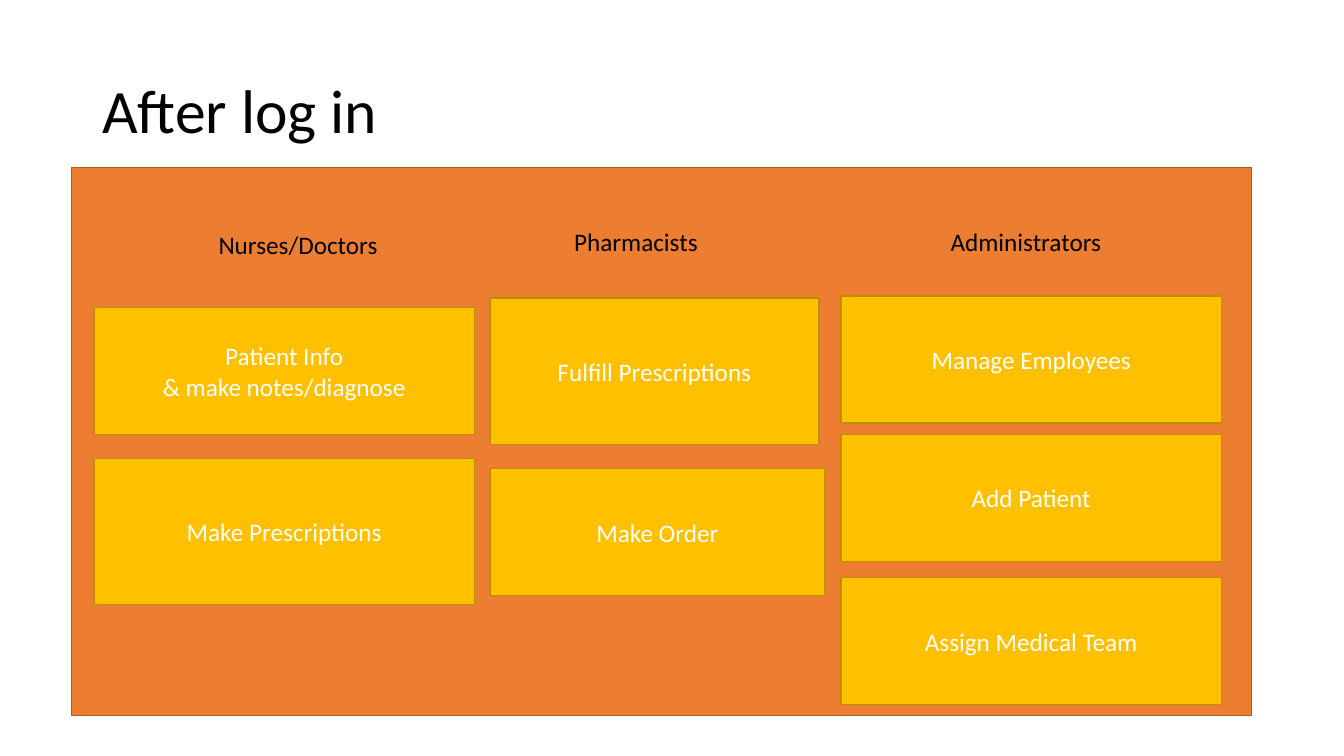
from dataclasses import dataclass

from pptx import Presentation
from pptx.dml.color import RGBColor
from pptx.enum.shapes import MSO_SHAPE as Shape
from pptx.enum.text import MSO_ANCHOR as Anchor, PP_ALIGN as Align
from pptx.util import Pt


@dataclass(frozen=True)
class Theme:
    font: str = "Calibri"
    title_size: float = 44
    body_size: float = 18
    dark: str = "000000"
    light: str = "FFFFFF"
    panel: str = "ED7D31"
    panel_edge: str = "AF5C24"
    action: str = "FFC000"
    action_edge: str = "BD8E00"


def write(shape, text, *, font, size, color, align=Align.LEFT,
          anchor=Anchor.TOP, wrap=True, spacing=None):
    """Fill a shape with text, one paragraph per line."""
    frame = shape.text_frame
    frame.word_wrap = wrap
    frame.vertical_anchor = anchor
    for index, line in enumerate(text.split("\n")):
        para = frame.add_paragraph() if index else frame.paragraphs[0]
        para.alignment = align
        if spacing:
            para.line_spacing = spacing
        span = para.add_run()
        span.text = line
        span.font.name = font
        span.font.size = Pt(size)
        span.font.color.rgb = RGBColor.from_string(color)


class Painter:
    def __init__(self, page, theme):
        self.page = page
        self.theme = theme

    def box(self, bounds, fill, edge):
        box = self.page.shapes.add_shape(Shape.RECTANGLE, *map(Pt, bounds))
        box.shadow.inherit = False
        box.fill.solid()
        box.fill.fore_color.rgb = RGBColor.from_string(fill)
        box.line.color.rgb = RGBColor.from_string(edge)
        box.line.width = Pt(1)
        return box

    def panel(self, bounds):
        self.box(bounds, self.theme.panel, self.theme.panel_edge)

    def action(self, text, bounds):
        theme = self.theme
        box = self.box(bounds, theme.action, theme.action_edge)
        write(box, text, font=theme.font, size=theme.body_size,
              color=theme.light, align=Align.CENTER, anchor=Anchor.MIDDLE)

    def text(self, text, bounds, size, **style):
        box = self.page.shapes.add_textbox(*map(Pt, bounds))
        write(box, text, font=self.theme.font, size=size,
              color=self.theme.dark, **style)


# Deck and page
deck = Presentation()
deck.slide_width, deck.slide_height = Pt(960), Pt(540)
page = deck.slides.add_slide(deck.slide_layouts[6])
theme = Theme()
painter = Painter(page, theme)

# Title and backdrop
painter.text("After log in", (66, 28.8, 828, 104.4), theme.title_size,
             anchor=Anchor.MIDDLE, spacing=0.9)
painter.panel((51, 119.7, 843, 391.5))

# Roles: name, label (left, top, width), column left,
# then actions as (text, top, width, height)
LOW, TALL, WIDE = 90.8, 104.4, 271.6
roles = [
    ("Nurses/Doctors", (149, 160, 129), 67.2, [
        ("Patient Info\n& make notes/diagnose", 219.6, WIDE, LOW),
        ("Make Prescriptions", 327.6, WIDE, TALL),
    ]),
    ("Pharmacists", (403, 157.8, 103.7), 350, [
        ("Fulfill Prescriptions", 213, 234.9, TALL),
        ("Make Order", 334.6, 239.2, LOW),
    ]),
    ("Administrators", (671.9, 157.8, 123), 600.8, [
        ("Manage Employees", 211.5, WIDE, LOW),
        ("Add Patient", 310.2, WIDE, LOW),
        ("Assign Medical Team", 412.6, WIDE, LOW),
    ]),
]
for name, label, left, actions in roles:
    painter.text(name, (*label, 29), theme.body_size, wrap=False)
    for text, top, width, height in actions:
        painter.action(text, (left, top, width, height))

deck.save("out.pptx")
